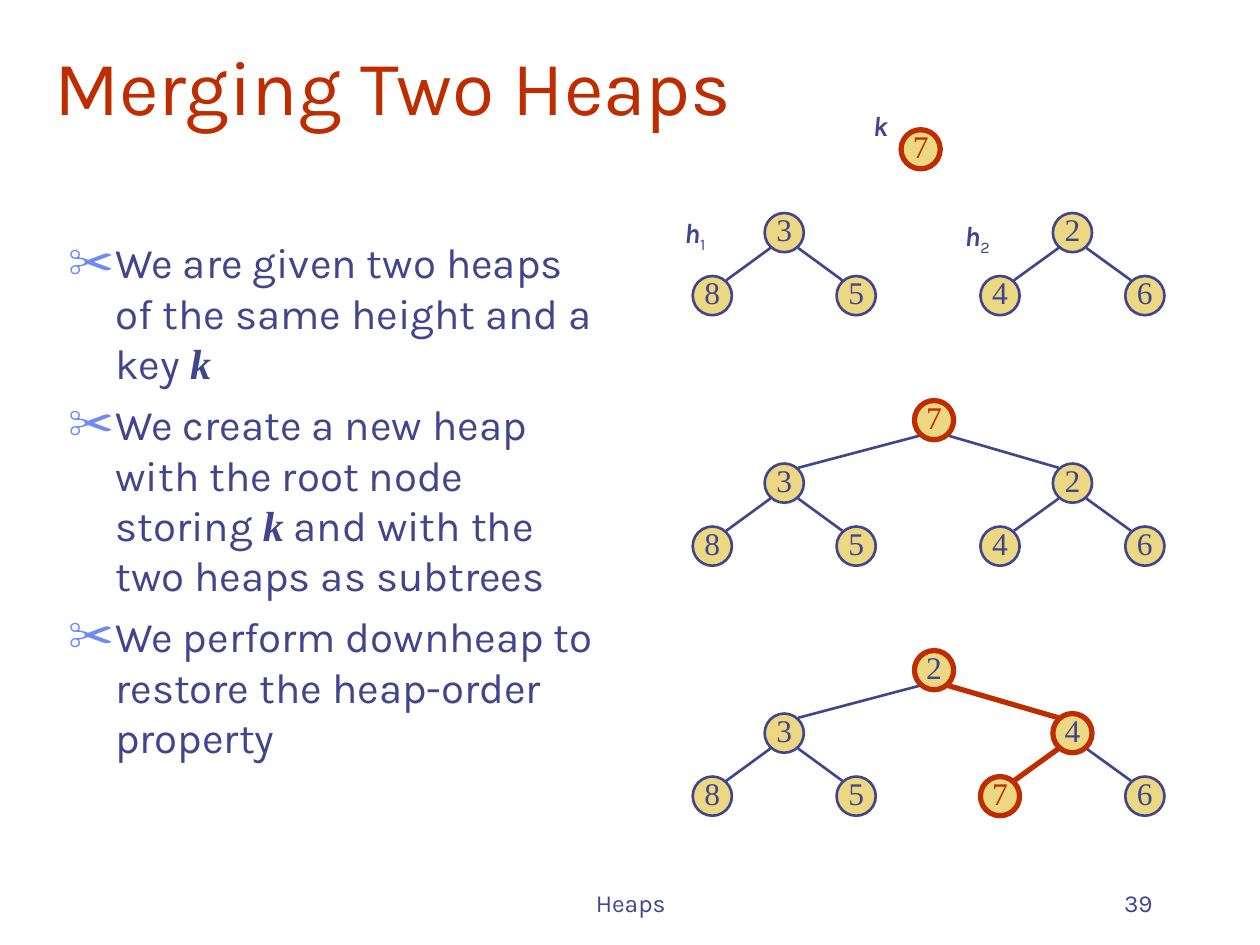
from lxml import etree
from pptx import Presentation
from pptx.dml.color import RGBColor
from pptx.enum.shapes import MSO_CONNECTOR, MSO_SHAPE
from pptx.enum.text import MSO_ANCHOR, MSO_AUTO_SIZE, PP_ALIGN
from pptx.oxml.ns import qn
from pptx.util import Cm, Pt

STRAIGHT = MSO_CONNECTOR.STRAIGHT
OVAL = MSO_SHAPE.OVAL
TOP, MIDDLE, BOTTOM = MSO_ANCHOR.TOP, MSO_ANCHOR.MIDDLE, MSO_ANCHOR.BOTTOM
LEFT, CENTER, RIGHT = PP_ALIGN.LEFT, PP_ALIGN.CENTER, PP_ALIGN.RIGHT
NO_FIT = MSO_AUTO_SIZE.NONE

NAVY = RGBColor(0x40, 0x45, 0x8C)
RED = RGBColor(0xBE, 0x2D, 0x00)
SAND = RGBColor(0xEC, 0xD8, 0x82)
BULLET_BLUE = RGBColor(0x6F, 0x89, 0xF7)
SANS, SERIF = "Karla", "Times New Roman"

DIAMETER = 0.79
EDGE_X, EDGE_Y = 0.28, 0.31
LEVEL_HEIGHT = 1.27
NODE_X = [18.83, 15.81, 21.62, 14.36, 17.26, 20.16, 23.08]
NODE_LEVEL = [0, 1, 1, 2, 2, 2, 2]
MERGED_KEY = 7

HEAPS = [
    (3.42, [None, 3, 2, 8, 5, 4, 6], set()),
    (8.47, [7, 3, 2, 8, 5, 4, 6], {0}),
    (13.51, [2, 3, 4, 8, 5, 7, 6], {0, 2, 5}),
]
POINTS = [
    [("We are given two heaps of the same height and a key ", False), ("k", True)],
    [("We create a new heap with the root node storing ", False), ("k", True),
     (" and with the two heaps as subtrees", False)],
    [("We perform downheap to restore the heap-order property", False)],
]
LABELS = [(13.26, 4.22, "h", "1"), (18.95, 4.29, "h", "2"), (16.99, 2.06, "k", "")]


class HeapSlide:
    """Draws text, nodes and edges on one slide in a shared style."""

    def __init__(self, slide):
        self.slide = slide

    def run(self, paragraph, text, size, color=NAVY, font=SANS, emphasis=False):
        run = paragraph.add_run()
        run.text = text
        run.font.size = Pt(size)
        run.font.name = font
        run.font.color.rgb = color
        run.font.bold = run.font.italic = emphasis
        return run

    def place(self, shape, left, top, width, height, anchor):
        shape.left, shape.top = Cm(left), Cm(top)
        shape.width, shape.height = Cm(width), Cm(height)
        shape.text_frame.word_wrap = True
        shape.text_frame.auto_size = NO_FIT
        shape.text_frame.vertical_anchor = anchor
        return shape.text_frame

    def title(self, text):
        frame = self.place(self.slide.shapes.title, 0.84, 0.43, 24.13, 2.34, BOTTOM)
        paragraph = frame.paragraphs[0]
        paragraph.alignment = LEFT
        self.run(paragraph, text, 44, RED)

    def bullet(self, paragraph):
        properties = paragraph._p.get_or_add_pPr()
        properties.set("marL", str(Cm(0.95)))
        properties.set("indent", str(Cm(-0.95)))
        color = etree.SubElement(properties, qn("a:buClr"))
        etree.SubElement(color, qn("a:srgbClr"), val=str(BULLET_BLUE))
        etree.SubElement(properties, qn("a:buSzPct"), val="110000")
        etree.SubElement(properties, qn("a:buChar"), char="✂")

    def body(self, points):
        frame = self.place(self.slide.placeholders[1], 1.12, 4.65, 11.35, 11.43, TOP)
        for index, pieces in enumerate(points):
            paragraph = frame.add_paragraph() if index else frame.paragraphs[0]
            self.bullet(paragraph)
            paragraph.space_before = Pt(6 if index else 0)
            for text, variable in pieces:
                self.run(paragraph, text, 24, font=SERIF if variable else SANS,
                         emphasis=variable)

    def text_box(self, left, top, width, height, alignment, anchor):
        box = self.slide.shapes.add_textbox(0, 0, 0, 0)
        paragraph = self.place(box, left, top, width, height, anchor).paragraphs[0]
        paragraph.alignment = alignment
        return paragraph

    def label(self, left, top, name, subscript):
        paragraph = self.text_box(left, top, 1.5, 1.04, CENTER, TOP)
        self.run(paragraph, name, 16, emphasis=True)
        if subscript:
            run = self.run(paragraph, subscript, 16)
            run.font._element.set("baseline", "-25000")

    def outline(self, line, highlighted):
        line.color.rgb = RED if highlighted else NAVY
        line.width = Pt(3 if highlighted else 1.5)

    def node(self, x, y, key, highlighted):
        shape = self.slide.shapes.add_shape(
            OVAL, Cm(x - DIAMETER / 2), Cm(y - DIAMETER / 2), Cm(DIAMETER), Cm(DIAMETER))
        shape.shadow.inherit = False
        shape.fill.solid()
        shape.fill.fore_color.rgb = SAND
        self.outline(shape.line, highlighted)
        frame = shape.text_frame
        frame.word_wrap = False
        frame.vertical_anchor = MIDDLE
        frame.margin_left = frame.margin_right = frame.margin_top = 0
        frame.margin_bottom = Cm(0.13)
        paragraph = frame.paragraphs[0]
        paragraph.alignment = CENTER
        self.run(paragraph, str(key), 18, RED if key == MERGED_KEY else NAVY, SERIF)

    def edge(self, parent, child, highlighted):
        side = 1 if child[0] > parent[0] else -1
        connector = self.slide.shapes.add_connector(
            STRAIGHT,
            Cm(parent[0] + side * EDGE_X), Cm(parent[1] + EDGE_Y),
            Cm(child[0] - side * EDGE_X), Cm(child[1] - EDGE_Y))
        self.outline(connector.line, highlighted)
        etree.SubElement(connector._element.spPr, qn("a:effectLst"))

    def heap(self, top, keys, highlighted):
        centers = [(x, top + level * LEVEL_HEIGHT) for x, level in zip(NODE_X, NODE_LEVEL)]
        for child in range(1, len(keys)):
            parent = (child - 1) // 2
            if keys[parent] is not None:
                self.edge(centers[parent], centers[child], {parent, child} <= highlighted)
        for position, key in enumerate(keys):
            if key is not None:
                self.node(*centers[position], key, position in highlighted)


def main():
    presentation = Presentation()
    presentation.slide_width, presentation.slide_height = Cm(25.4), Cm(19.05)
    layout = presentation.slide_layouts[1]
    page = HeapSlide(presentation.slides.add_slide(layout))
    page.title("Merging Two Heaps")
    page.body(POINTS)
    for heap in HEAPS:
        page.heap(*heap)
    page.node(18.56, 3.01, MERGED_KEY, True)
    for label in LABELS:
        page.label(*label)
    page.run(page.text_box(8.69, 17.35, 8.05, 1.27, CENTER, BOTTOM), "Heaps", 14)
    page.run(page.text_box(18.21, 17.35, 5.28, 1.27, RIGHT, BOTTOM), "39", 14)
    presentation.save("out.pptx")


if __name__ == "__main__":
    main()
